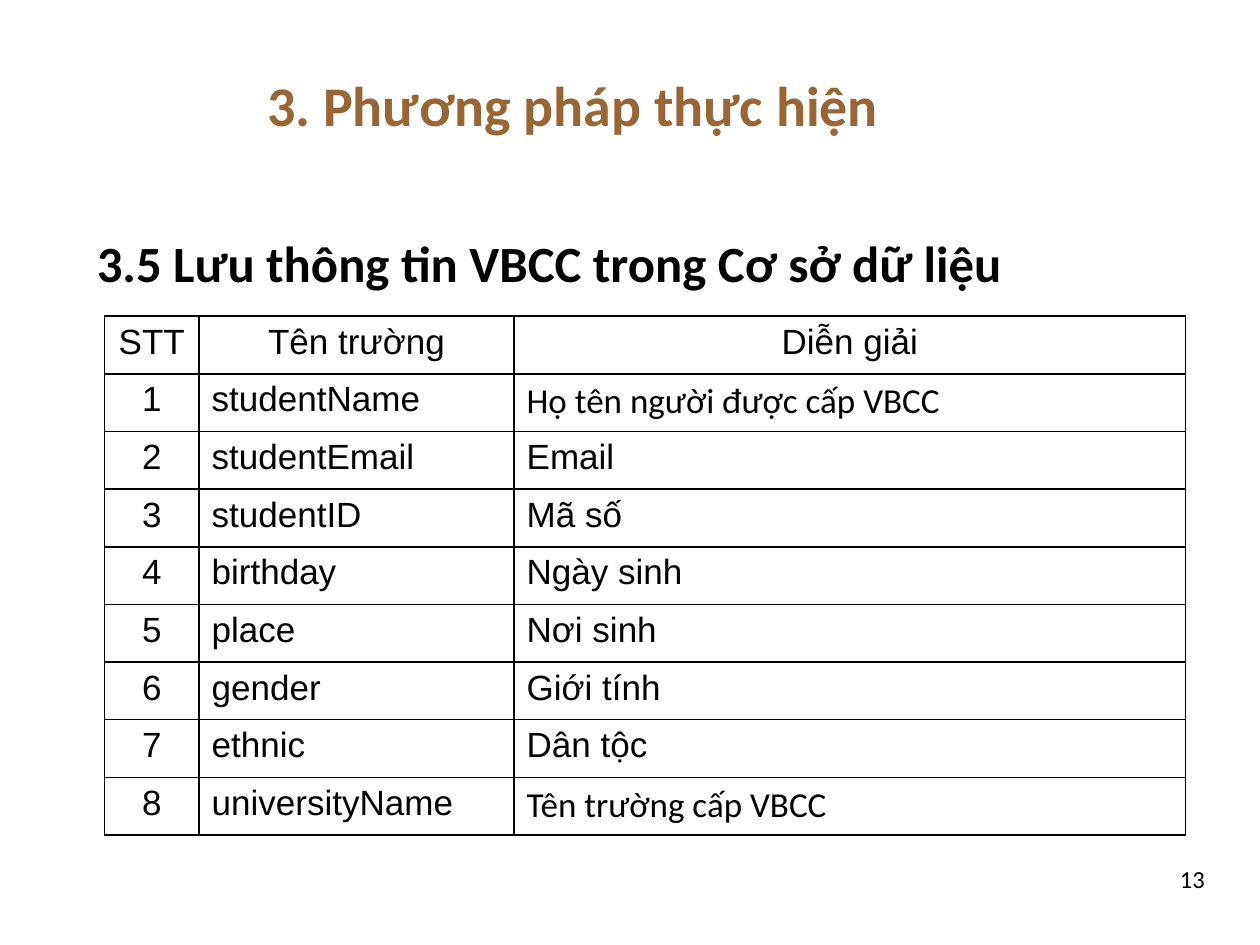
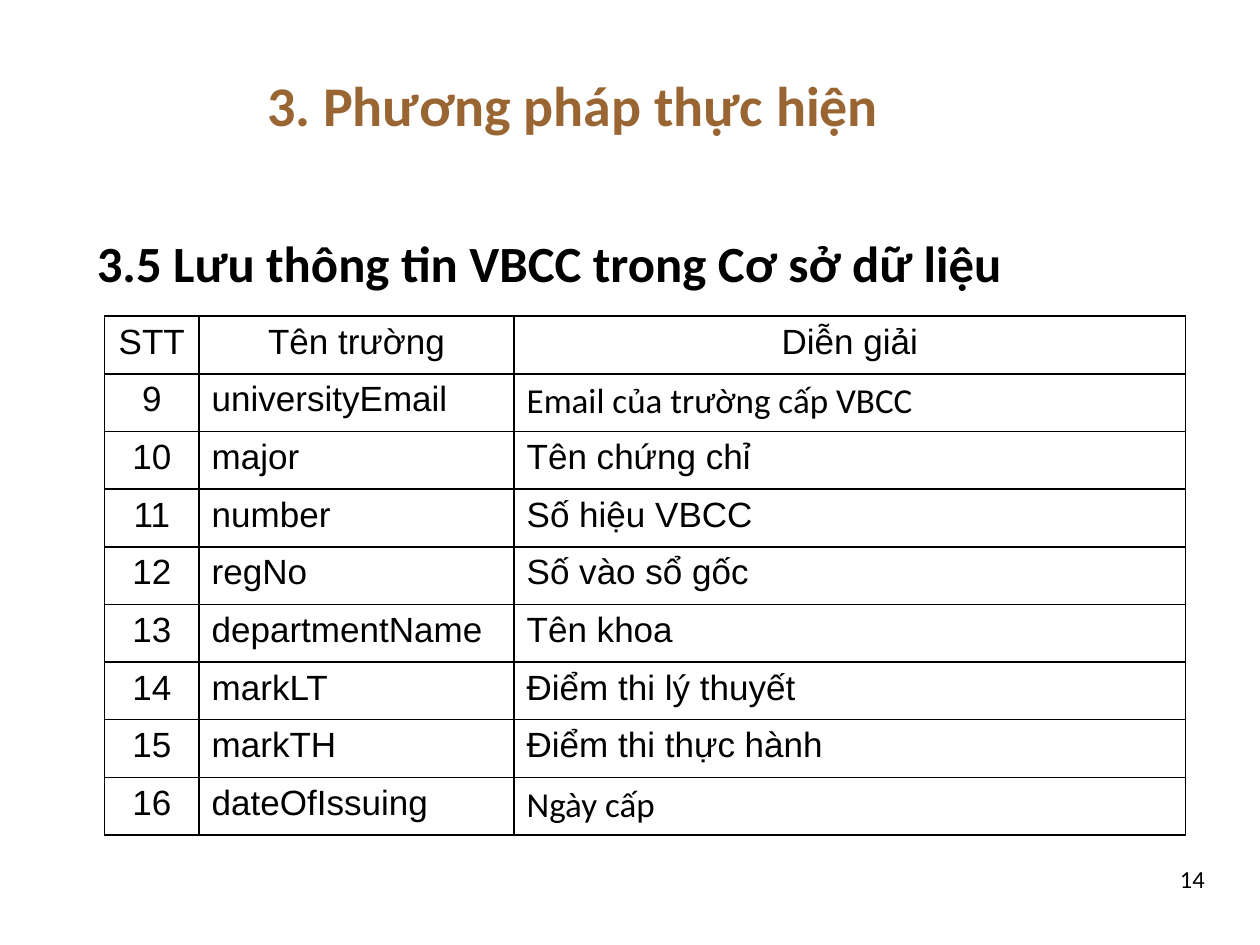
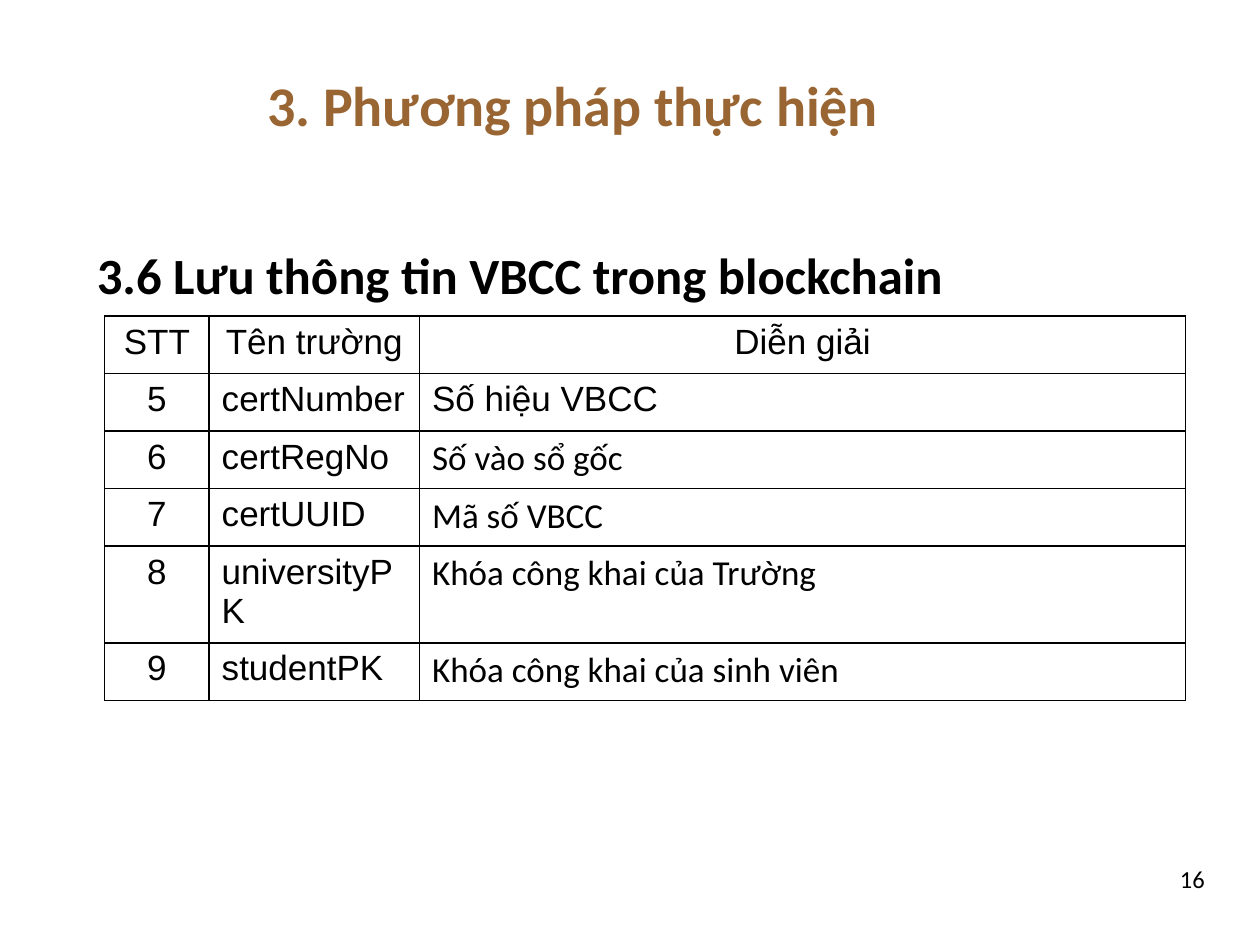
from dataclasses import dataclass

from lxml.etree import SubElement
from pptx import Presentation
from pptx.dml.color import RGBColor
from pptx.enum.text import MSO_ANCHOR, MSO_AUTO_SIZE, PP_ALIGN
from pptx.oxml.ns import qn
from pptx.util import Inches, Pt


@dataclass(frozen=True)
class Theme:
    brown: RGBColor = RGBColor(0x99, 0x66, 0x33)
    black: RGBColor = RGBColor(0, 0, 0)
    heading_font: str = "Calibri"
    table_font: str = "Arial"
    title_size: int = 32
    subtitle_size: int = 29
    table_size: int = 20
    number_size: int = 14


theme = Theme()


def write(frame, text, size, color, font, bold=False, align=PP_ALIGN.LEFT):
    frame.text = text
    para = frame.paragraphs[0]
    para.alignment = align
    span = para.runs[0]
    span.font.size = Pt(size)
    span.font.color.rgb = color
    span.font.name = font
    span.font.bold = bold
    return para


def outline(cell):
    properties = cell._tc.get_or_add_tcPr()
    for side in ("a:lnL", "a:lnR", "a:lnT", "a:lnB"):
        line = SubElement(properties, qn(side), w=str(Pt(1)))
        fill = SubElement(line, qn("a:solidFill"))
        SubElement(fill, qn("a:srgbClr"), val=str(theme.black))


TITLE = "3. Phương pháp thực hiện"
DATABASE = "3.5 Lưu thông tin VBCC trong Cơ sở dữ liệu"
HEADER = ("STT", "Tên trường", "Diễn giải")

pages = [
    {
        "number": 13, "subtitle": DATABASE, "line_spacing": 1.0,
        "widths": (0.75, 2.5, 5.33), "height": 4.12, "first": 1, "calibri_rows": (1, 8),
        "fields": [
            ("studentName", "Họ tên người được cấp VBCC"),
            ("studentEmail", "Email"),
            ("studentID", "Mã số"),
            ("birthday", "Ngày sinh"),
            ("place", "Nơi sinh"),
            ("gender", "Giới tính"),
            ("ethnic", "Dân tộc"),
            ("universityName", "Tên trường cấp VBCC"),
        ],
    },
    {
        "number": 14, "subtitle": DATABASE, "line_spacing": 1.0,
        "widths": (0.75, 2.5, 5.33), "height": 4.12, "first": 9, "calibri_rows": (1, 8),
        "fields": [
            ("universityEmail", "Email của trường cấp VBCC"),
            ("major", "Tên chứng chỉ"),
            ("number", "Số hiệu VBCC"),
            ("regNo", "Số vào sổ gốc"),
            ("departmentName", "Tên khoa"),
            ("markLT", "Điểm thi lý thuyết"),
            ("markTH", "Điểm thi thực hành"),
            ("dateOfIssuing", "Ngày cấp"),
        ],
    },
    {
        "number": 16, "subtitle": "3.6 Lưu thông tin VBCC trong blockchain", "line_spacing": 1.2,
        "widths": (0.83, 1.67, 6.08), "height": 2.74, "first": 5, "calibri_rows": (2, 3, 4, 5),
        "fields": [
            ("certNumber", "Số hiệu VBCC"),
            ("certRegNo", "Số vào sổ gốc"),
            ("certUUID", "Mã số VBCC"),
            ("universityPK", "Khóa công khai của Trường"),
            ("studentPK", "Khóa công khai của sinh viên"),
        ],
    },
]

deck = Presentation()
deck.slide_width, deck.slide_height = Inches(10), Inches(7.5)
title_only = deck.slide_layouts[5]

for content in pages:
    page = deck.slides.add_slide(title_only)

    title = page.shapes.title
    title.left, title.top = Inches(1.92), Inches(0.31)
    title.width, title.height = Inches(7.75), Inches(1.03)
    title.text_frame.auto_size = MSO_AUTO_SIZE.NONE
    title.text_frame.vertical_anchor = MSO_ANCHOR.MIDDLE
    title.text_frame.margin_left = Inches(0.2)
    write(title.text_frame, TITLE, theme.title_size, theme.brown, theme.heading_font, bold=True)

    subtitle = page.shapes.add_textbox(Inches(0.67), Inches(1.79), Inches(9), Inches(5.13))
    subtitle.text_frame.word_wrap = True
    para = write(subtitle.text_frame, content["subtitle"], theme.subtitle_size,
                 theme.black, theme.heading_font, bold=True)
    para.space_before = Pt(6)
    para.line_spacing = content["line_spacing"]

    number = page.shapes.add_textbox(Inches(7.33), Inches(6.81), Inches(2.33), Inches(0.61))
    number.text_frame.word_wrap = True
    write(number.text_frame, str(content["number"]), theme.number_size,
          theme.black, theme.heading_font, align=PP_ALIGN.RIGHT)

    rows = [HEADER]
    for index, (field, meaning) in enumerate(content["fields"], content["first"]):
        rows.append((str(index), field, meaning))

    table = page.shapes.add_table(len(rows), len(HEADER), Inches(0.83), Inches(2.51),
                                  Inches(sum(content["widths"])), Inches(content["height"])).table
    table.first_row = False
    table.horz_banding = False
    for column, width in zip(table.columns, content["widths"]):
        column.width = Inches(width)

    for row_index, row in enumerate(rows):
        for column_index, text in enumerate(row):
            cell = table.cell(row_index, column_index)
            centered = row_index == 0 or column_index == 0
            in_calibri = column_index == 2 and row_index in content["calibri_rows"]
            write(cell.text_frame, text, theme.table_size, theme.black,
                  theme.heading_font if in_calibri else theme.table_font,
                  align=PP_ALIGN.CENTER if centered else PP_ALIGN.LEFT)
            outline(cell)
            cell.fill.background()

deck.save("out.pptx")
